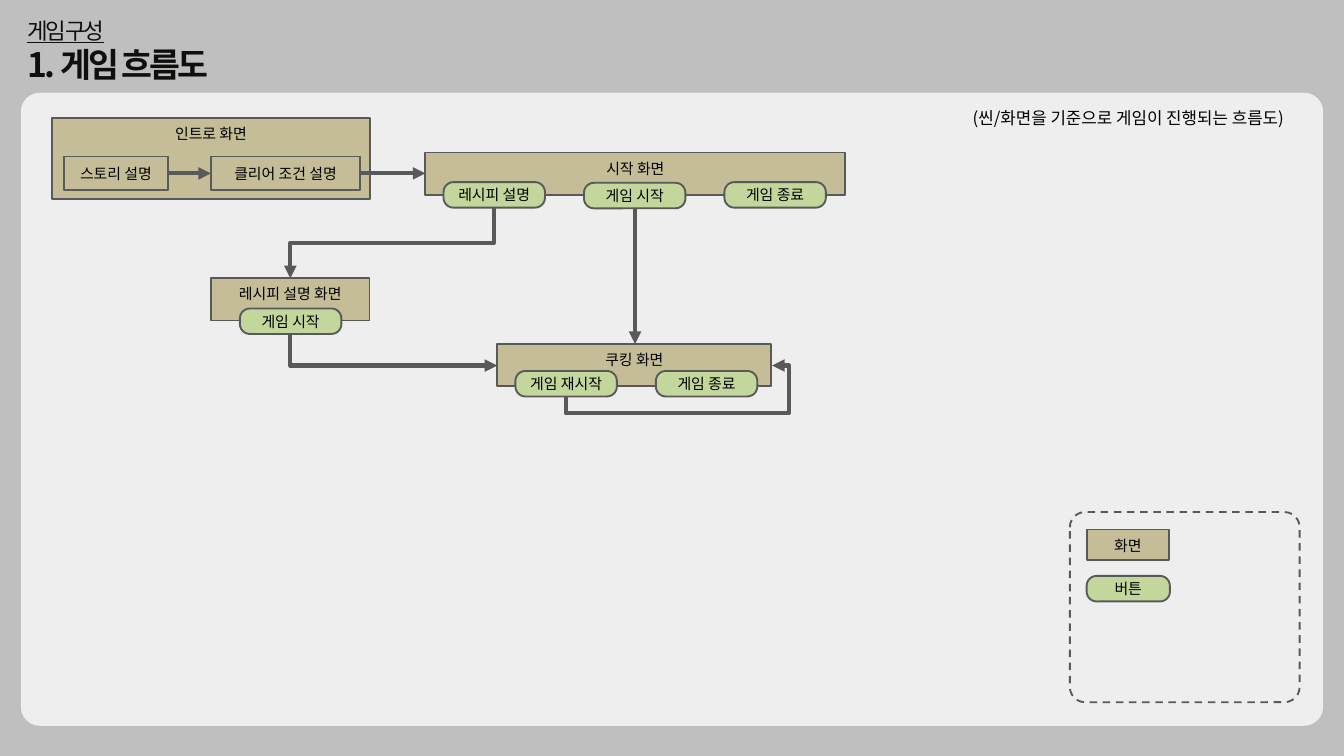
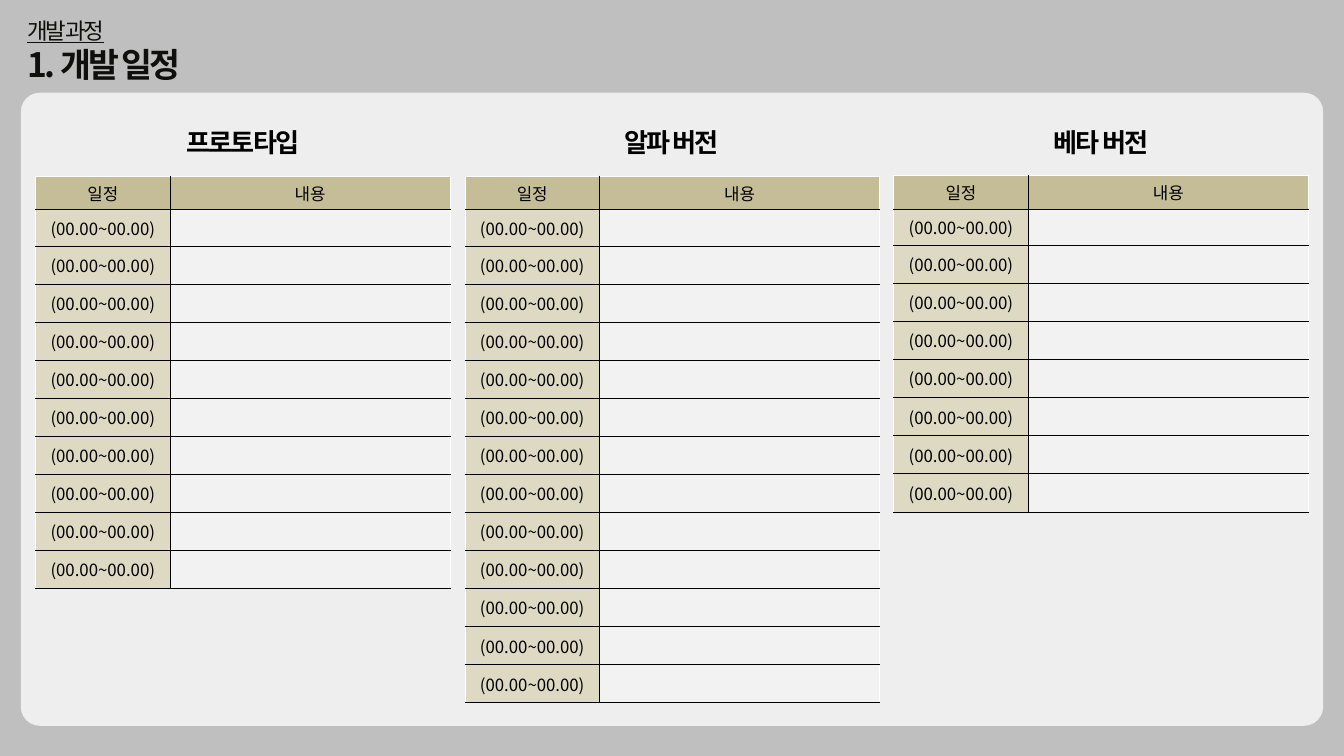
from lxml import etree
from pptx import Presentation
from pptx.dml.color import RGBColor
from pptx.enum.dml import MSO_LINE
from pptx.enum.shapes import MSO_CONNECTOR as CONN, MSO_SHAPE as SHAPE
from pptx.enum.text import MSO_ANCHOR as ANCHOR, MSO_AUTO_SIZE as AUTO, PP_ALIGN as ALIGN
from pptx.oxml.ns import qn
from pptx.util import Pt

PX = 9144  # EMU in one px, 100 px to the inch
FONT = "Noto Sans CJK KR"
GREY = RGBColor(0xBF, 0xBF, 0xBF)
PANEL = RGBColor(0xEE, 0xEE, 0xEE)
INK = RGBColor(0x0F, 0x0F, 0x0E)
BLACK = RGBColor(0, 0, 0)
WHITE = RGBColor(0xFF, 0xFF, 0xFF)
LINE = RGBColor(0x59, 0x59, 0x59)
TAN = RGBColor(0xC4, 0xBD, 0x97)
SAND = RGBColor(0xDD, 0xD9, 0xC3)
PALE = RGBColor(0xF2, 0xF2, 0xF2)
GREEN = RGBColor(0xC3, 0xD6, 0x9B)


def write(tf, text, size=16, color=BLACK, bold=False, underline=False, spacing=0,
          align=ALIGN.CENTER, line_spacing=None, new=False):
    p = tf.add_paragraph() if new else tf.paragraphs[0]
    p.alignment = align
    if line_spacing:
        p.line_spacing = line_spacing
    r = p.add_run()
    r.text = text
    f = r.font
    f.size, f.bold, f.underline, f.name = Pt(size), bold, underline, FONT
    f.color.rgb = color
    rpr = r._r.get_or_add_rPr()
    etree.SubElement(rpr, qn("a:ea"), typeface=FONT)
    if spacing:
        rpr.set("spc", str(spacing * 100))


def box(s, x, y, w, h, fill=None, line=LINE, radius=None, text=None, top=False):
    kind = SHAPE.RECTANGLE if radius is None else SHAPE.ROUNDED_RECTANGLE
    sp = s.shapes.add_shape(kind, x * PX, y * PX, w * PX, h * PX)
    sp.shadow.inherit = False
    if radius is not None:
        sp.adjustments[0] = radius
    if fill is None:
        sp.fill.background()
    else:
        sp.fill.solid()
        sp.fill.fore_color.rgb = fill
    if line is None:
        sp.line.fill.background()
    else:
        sp.line.color.rgb = line
        sp.line.width = Pt(2)
    if text:
        tf = sp.text_frame
        tf.word_wrap = True
        tf.vertical_anchor = ANCHOR.TOP if top else ANCHOR.MIDDLE
        if top:
            tf.margin_top = tf.margin_bottom = 10 * PX
        write(tf, text)
    return sp


prs = Presentation()
prs.slide_width, prs.slide_height = 2000 * PX, 1125 * PX

# Shared background, heading and panel
slides = []
for section, title in [("게임 구성", "1. 게임 흐름도"), ("개발 과정", "1. 개발 일정")]:
    s = prs.slides.add_slide(prs.slide_layouts[6])
    s.background.fill.solid()
    s.background.fill.fore_color.rgb = GREY
    tf = s.shapes.add_textbox(31 * PX, 20 * PX, 627 * PX, 111 * PX).text_frame
    tf.word_wrap = True
    tf.auto_size = AUTO.SHAPE_TO_FIT_TEXT
    tf.vertical_anchor = ANCHOR.MIDDLE
    write(tf, section, size=24, color=INK, underline=True, spacing=-3, align=ALIGN.LEFT)
    write(tf, title, size=36, color=INK, bold=True, spacing=-3, align=ALIGN.LEFT, new=True)
    box(s, 31, 138, 1938, 942, fill=PANEL, line=None, radius=0.03)
    slides.append(s)
flow, schedule = slides

# Flow: legend frame and screens
legend = box(flow, 1592, 762, 342, 283, radius=0.08)
legend.line.dash_style = MSO_LINE.DASH
for text, x, y, w, h in [
    ("인트로 화면", 78, 176, 472, 120),
    ("시작 화면", 633, 227, 625, 63),
    ("레시피 설명 화면", 314, 414, 236, 63),
    ("쿠킹 화면", 740, 512, 408, 63),
    ("화면", 1617, 788, 123, 46),
]:
    box(flow, x, y, w, h, fill=TAN, text=text, top=True)
for text, x, w in [("스토리 설명", 95, 155), ("클리어 조건 설명", 314, 222)]:
    box(flow, x, 233, w, 50, fill=TAN, text=text)

# Flow: arrows as start, end, preset, rotation, flips, bends
for x1, y1, x2, y2, preset, rot, flip_h, flip_v, bends in [
    (250, 258, 314, 258, None, 0, False, False, []),
    (536, 258, 633, 258, None, 0, False, False, []),
    (945, 310, 945, 512, None, 0, False, False, []),
    (735, 309, 432, 414, "bentConnector3", 90, False, False, [50000]),
    (432, 497, 740, 544, "bentConnector2", 270, True, False, []),
    (842, 590, 1149, 544, "bentConnector4", 90, True, True, [-54500, 108100]),
]:
    if preset:
        # A quarter turn swaps width and height around the midpoint
        cx, cy = (x1 + x2) / 2, (y1 + y2) / 2
        dx, dy = abs(y2 - y1) / 2, abs(x2 - x1) / 2
        dx, dy = -dx if flip_h else dx, -dy if flip_v else dy
        x1, y1, x2, y2 = cx - dx, cy - dy, cx + dx, cy + dy
    c = flow.shapes.add_connector(CONN.ELBOW if preset else CONN.STRAIGHT,
                                  *[int(v * PX) for v in (x1, y1, x2, y2)])
    c.line.color.rgb = LINE
    c.line.width = Pt(4.5)
    sppr = c._element.spPr
    etree.SubElement(sppr.find(qn("a:ln")), qn("a:tailEnd"), type="triangle")
    etree.SubElement(sppr, qn("a:effectLst"))
    if preset:
        sppr.find(qn("a:xfrm")).set("rot", str(rot * 60000))
        geom = sppr.find(qn("a:prstGeom"))
        geom.set("prst", preset)
        guides = geom.find(qn("a:avLst"))
        for i, bend in enumerate(bends, 1):
            etree.SubElement(guides, qn("a:gd"), name=f"adj{i}", fmla=f"val {bend}")

# Flow: buttons
for text, x, y, w in [
    ("레시피 설명", 660, 271, 151),
    ("게임 시작", 869, 272, 151),
    ("게임 종료", 1078, 271, 151),
    ("게임 시작", 357, 459, 151),
    ("게임 재시작", 767, 552, 151),
    ("게임 종료", 976, 552, 151),
    ("버튼", 1617, 857, 124),
]:
    box(flow, x, y, w, 38, fill=GREEN, radius=0.39, text=text)

# Flow: note
tf = flow.shapes.add_textbox(1411 * PX, 156 * PX, 536 * PX, 40 * PX).text_frame
tf.word_wrap = False
tf.auto_size = AUTO.SHAPE_TO_FIT_TEXT
write(tf, "(씬/화면을 기준으로 게임이 진행되는 흐름도)", size=18)

# Schedule: one headed table per version
for name, name_x, name_w, x, y, h, n in [
    ("프로토타입", 260, 203, 53, 262, 614, 10),
    ("알파 버전", 911, 177, 692, 262, 784, 13),
    ("베타 버전", 1550, 177, 1330, 261, 501, 8),
]:
    tf = schedule.shapes.add_textbox(name_x * PX, 160 * PX, name_w * PX, 81 * PX).text_frame
    tf.word_wrap = False
    tf.auto_size = AUTO.SHAPE_TO_FIT_TEXT
    write(tf, name, size=28, bold=True, spacing=-2, line_spacing=1.5)

    table = schedule.shapes.add_table(n + 1, 2, x * PX, y * PX, 617 * PX, h * PX).table
    table.first_row = table.horz_banding = False
    table.columns[0].width, table.columns[1].width = 200 * PX, 417 * PX
    for i, row in enumerate(table.rows):
        row.height = [50 * PX, 54 * PX][i] if i < 2 else (h - 104) * PX // (n - 1)
        for j, cell in enumerate(row.cells):
            # Outer left, right and top edges are white, the rest black
            tcpr = cell._tc.get_or_add_tcPr()
            for side, outer in [("L", j == 0), ("R", j == 1), ("T", i == 0), ("B", False)]:
                ln = etree.SubElement(tcpr, qn(f"a:ln{side}"), w=str(Pt(1)))
                solid = etree.SubElement(ln, qn("a:solidFill"))
                etree.SubElement(solid, qn("a:srgbClr"), val=str(WHITE if outer else BLACK))
            cell.fill.solid()
            cell.fill.fore_color.rgb = TAN if i == 0 else (SAND, PALE)[j]
            cell.vertical_anchor = ANCHOR.MIDDLE
            text = ("일정", "내용")[j] if i == 0 else ("(00.00~00.00)", "")[j]
            if text:
                write(cell.text_frame, text, size=18)

prs.save("out.pptx")
